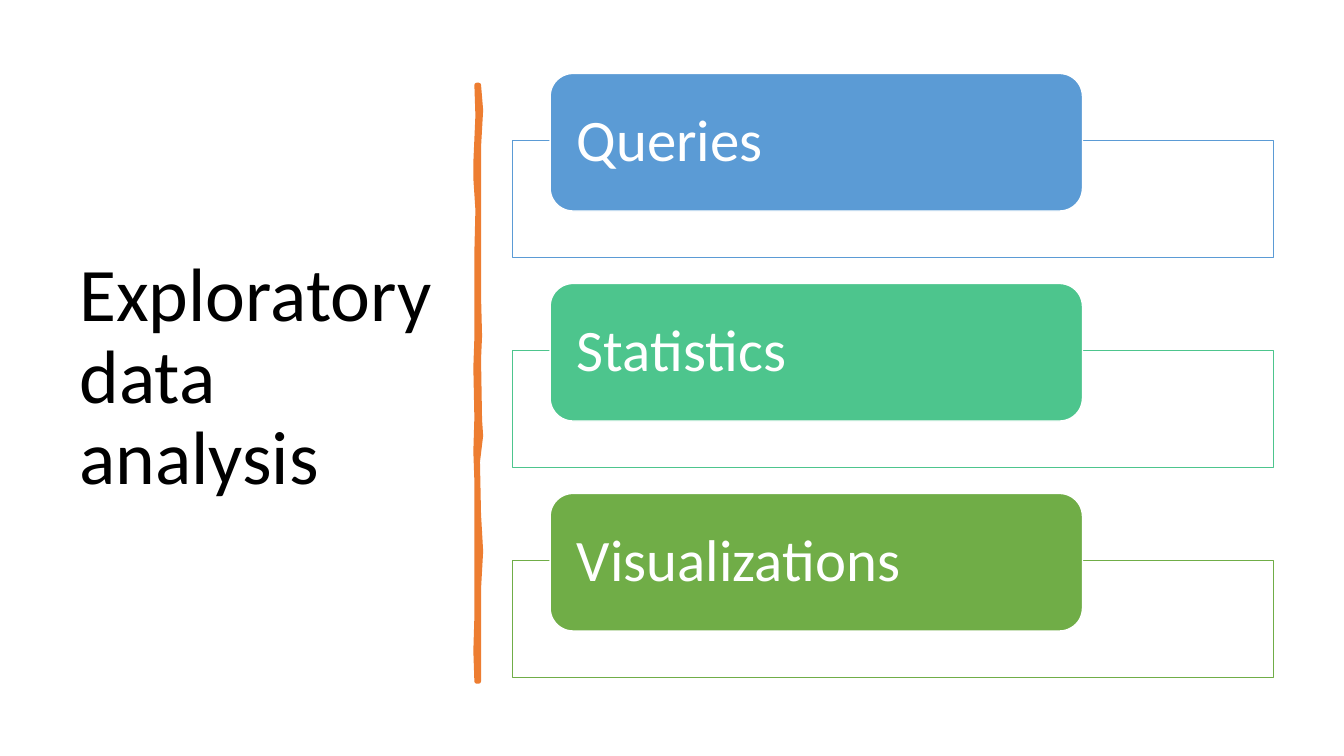
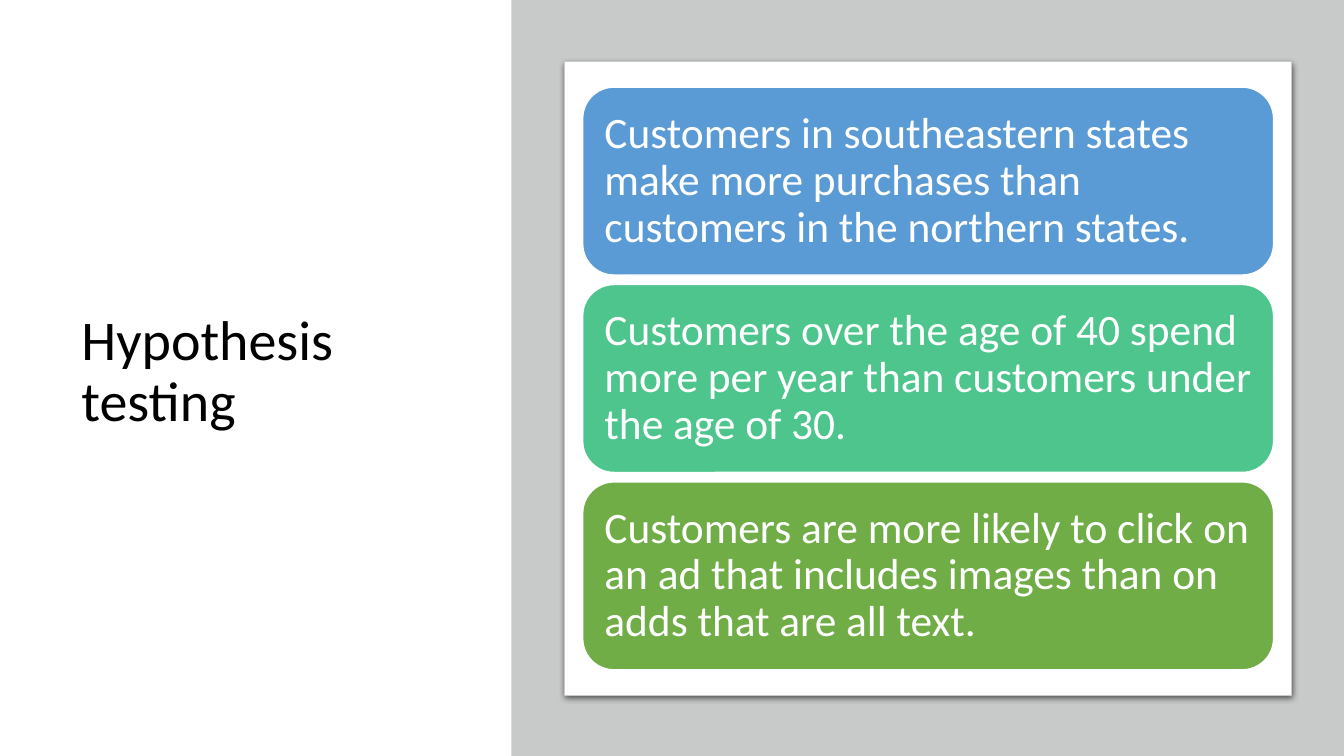
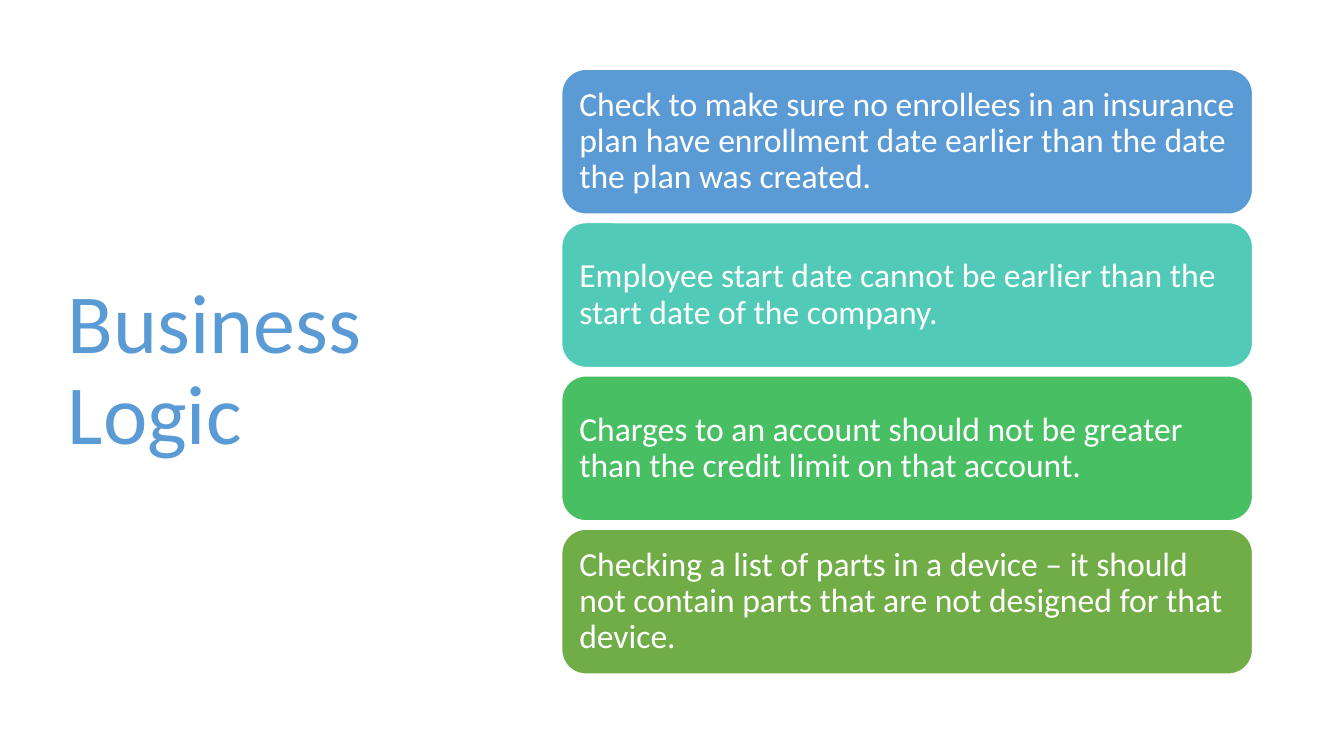
"""Build three slides on exploring data, testing hypotheses and business logic."""
from lxml import etree
from pptx import Presentation, util as u
from pptx.dml import color
from pptx.enum import shapes, text
from pptx.oxml import ns

PX = 9525
FONT = "Calibri"
COLORS = {
    "white": "FFFFFF",
    "black": "000000",
    "blue": "5B9BD5",
    "teal": "52CAB8",
    "mint": "4DC58D",
    "green": "49BF64",
    "olive": "70AD47",
    "orange": "ED7D31",
    "gray": "C8CACA",
}
RECT = shapes.MSO_SHAPE.RECTANGLE
ROUND = shapes.MSO_SHAPE.ROUNDED_RECTANGLE

TITLES = [
    ("Exploratory data analysis", 54, "black", (66, 67, 359, 587)),
    ("Hypothesis testing", 40, "black", (68, 66, 385, 578)),
    ("Business Logic", 60, "blue", (55, 65, 399, 578)),
]
TOPICS = [("Queries", "blue"), ("Statistics", "mint"), ("Visualizations", "olive")]
HYPOTHESES = [
    ("Customers in southeastern states make more purchases than customers in the northern states.", "blue"),
    ("Customers over the age of 40 spend more per year than customers under the age of 30.", "mint"),
    ("Customers are more likely to click on an ad that includes images than on adds that are all text.", "olive"),
]
RULES = [
    ("Check to make sure no enrollees in an insurance plan have enrollment date earlier than the date "
     "the plan was created.", "blue"),
    ("Employee start date cannot be earlier than the start date of the company.", "teal"),
    ("Charges to an account should not be greater than the credit limit on that account.", "green"),
    ("Checking a list of parts in a device – it should not contain parts that are not designed for "
     "that device.", "olive"),
]
BRUSH = [
    (456, 81), (458, 105), (456, 140), (456, 282), (457, 320), (456, 342), (457, 400),
    (458, 415), (455, 440), (456, 490), (458, 525), (456, 561), (456, 649),
    (454, 649), (453, 620), (454, 588), (454, 458), (453, 430), (454, 398), (453, 350),
    (454, 322), (454, 240), (455, 200), (453, 170), (453, 155), (455, 110), (454, 81),
]


def add_box(page, kind, at, fill, line=None, weight=1):
    box = page.shapes.add_shape(kind, *[n * PX for n in at])
    box.shadow.inherit = False
    box.fill.solid()
    box.fill.fore_color.rgb = color.RGBColor.from_string(COLORS[fill])
    if line:
        box.line.color.rgb = color.RGBColor.from_string(COLORS[line])
        box.line.width = u.Pt(weight)
    else:
        box.line.fill.background()
    return box


def write(box, words, size, ink, insets=None):
    frame = box.text_frame
    frame.word_wrap = True
    frame.auto_size = text.MSO_AUTO_SIZE.NONE
    frame.vertical_anchor = text.MSO_ANCHOR.MIDDLE
    if insets:
        frame.margin_left = frame.margin_right = insets[0] * PX
        frame.margin_top = frame.margin_bottom = insets[1] * PX
    para = frame.paragraphs[0]
    para.alignment = text.PP_ALIGN.LEFT
    para.line_spacing = 0.9
    span = para.add_run()
    span.text = words
    span.font.name = FONT
    span.font.size = u.Pt(size)
    span.font.color.rgb = color.RGBColor.from_string(COLORS[ink])


deck = Presentation()
deck.slide_width = 1280 * PX
deck.slide_height = 720 * PX

pages = []
for words, size, ink, at in TITLES:
    page = deck.slides.add_slide(deck.slide_layouts[5])
    title = page.shapes.title
    title.left, title.top, title.width, title.height = [n * PX for n in at]
    write(title, words, size, ink)
    pages.append(page)
explore, hypothesis, logic = pages

builder = explore.shapes.build_freeform(*BRUSH[0], scale=PX)
builder.add_line_segments(BRUSH[1:], close=True)
brush = builder.convert_to_shape()
brush.shadow.inherit = False
brush.fill.solid()
brush.fill.fore_color.rgb = color.RGBColor.from_string(COLORS["orange"])
brush.line.color.rgb = color.RGBColor.from_string(COLORS["orange"])
brush.line.width = u.Pt(3.25)

for row, (words, hue) in enumerate(TOPICS):
    frame_box = add_box(explore, RECT, (488, 134 + 200 * row, 725, 111), "white", hue)
    tint = frame_box.fill._xPr.find(ns.qn("a:solidFill"))[0]
    etree.SubElement(tint, ns.qn("a:alpha"), val="90000")
    pill = add_box(explore, ROUND, (524, 70 + 200 * row, 507, 131), hue, "white")
    write(pill, words, 42, "white", (19, 0))

add_box(hypothesis, RECT, (487, 0, 793, 720), "gray")
panel = add_box(hypothesis, ROUND, (538, 59, 692, 603), "white", "gray", 0.75)
panel.adjustments[0] = 0
effects = panel.element.spPr.find(ns.qn("a:effectLst"))
shadow = etree.SubElement(effects, ns.qn("a:outerShdw"), blurRad=str(u.Pt(4.5)),
                          dist=str(u.Pt(1.5)), dir="5400000", algn="t", rotWithShape="0")
shade = etree.SubElement(shadow, ns.qn("a:srgbClr"), val=COLORS["black"])
etree.SubElement(shade, ns.qn("a:alpha"), val="63000")

CARD_STACKS = [
    (hypothesis, HYPOTHESES, 555, 83, 179, 188, 31, 12),
    (logic, RULES, 535, 66, 138, 146, 24, 10),
]
for page, cards, left, top, height, pitch, size, inset in CARD_STACKS:
    for row, (words, hue) in enumerate(cards):
        card = add_box(page, ROUND, (left, top + pitch * row, 658, height), hue, "white")
        write(card, words, size, "white", (inset, inset))

deck.save("out.pptx")
